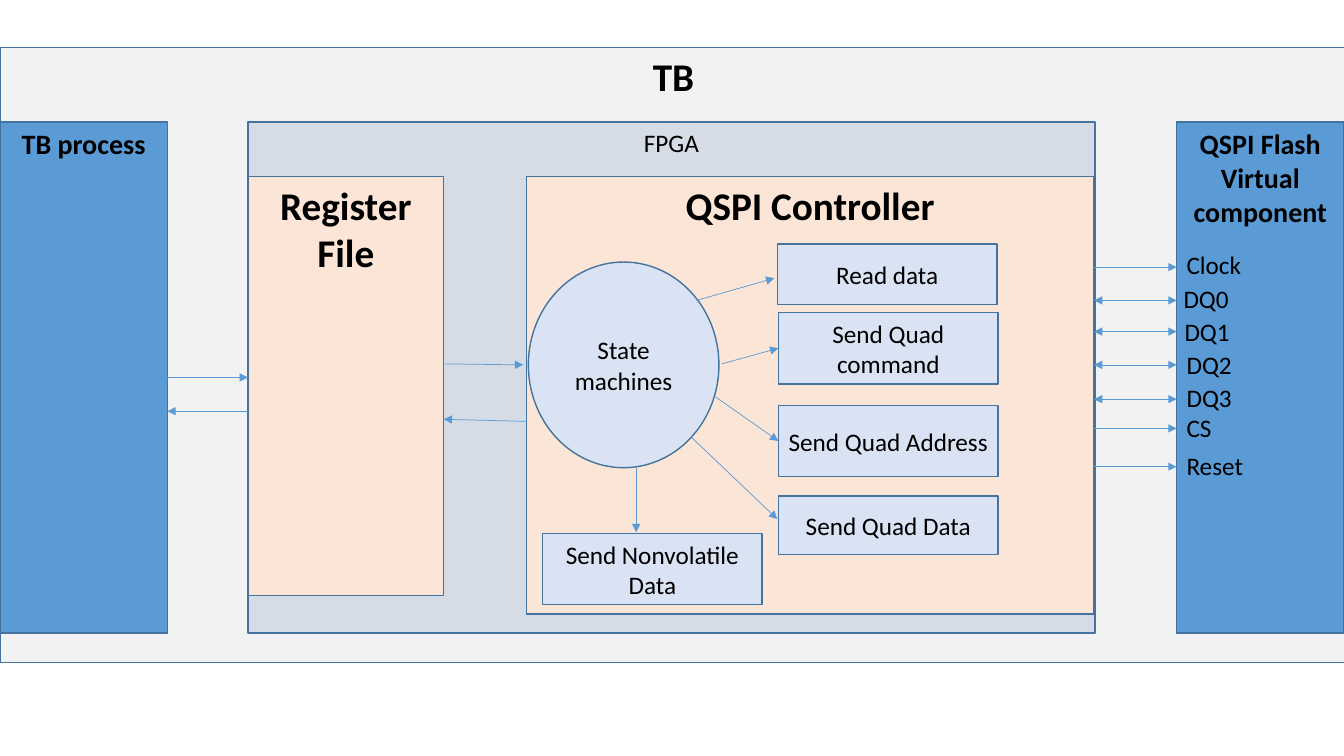
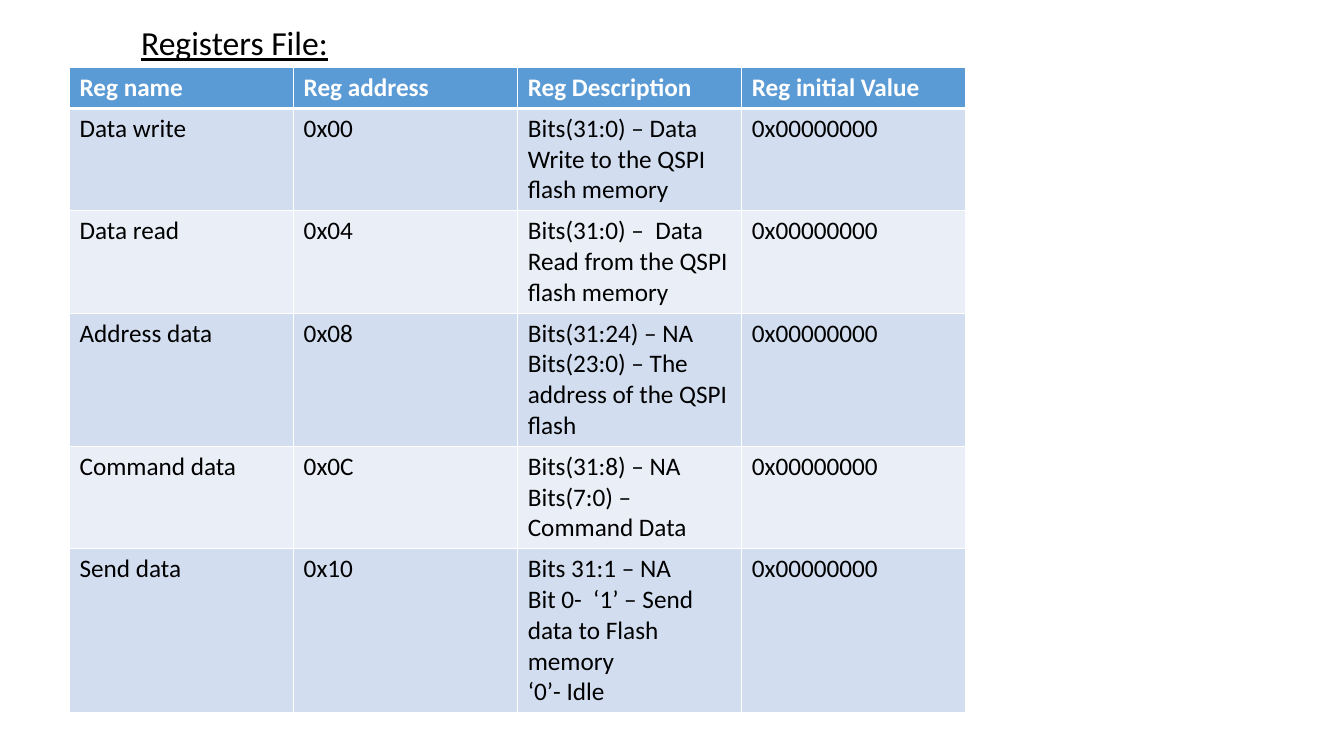
import pptx
import pptx.util
import pptx.oxml
import pptx.oxml.ns
import pptx.dml.color
import pptx.enum.shapes
import pptx.enum.text

Inches = pptx.util.Inches
Pt = pptx.util.Pt
SHAPE = pptx.enum.shapes.MSO_SHAPE
ANCHOR = pptx.enum.text.MSO_ANCHOR
ALIGN = pptx.enum.text.PP_ALIGN

COLORS = {
    "black": "000000", "white": "FFFFFF", "frame": "F2F2F2", "outline": "43739E",
    "blue": "5B9BD5", "fpga": "D6DCE5", "block": "FBE5D6", "state": "DAE3F3",
    "band_dark": "D2DEEF", "band_light": "EAEFF7",
}
BODY = {"size": Pt(18), "bold": False}
HEADER = {"size": Pt(18), "bold": True}
SIDE = {"size": Pt(20), "bold": True}
HEADING = {"size": Pt(28), "bold": True}
SLIDE_TITLE = {"size": Pt(24), "bold": False, "underline": True}

# name, label offset, arrow height, label height, two-way
SIGNALS = [
    ("Clock", 0, 1.44, 1.21, False),
    ("DQ0", -0.03, 1.77, 1.55, True),
    ("DQ1", -0.02, 2.08, 1.88, True),
    ("DQ2", 0, 2.41, 2.21, True),
    ("DQ3", 0, 2.75, 2.53, True),
    ("CS", 0, 3.04, 2.83, False),
    ("Reset", 0, 3.42, 3.21, False),
]

# name, address, description paragraphs, lines the description fills
RESET_VALUE = "0x00000000"
REGISTERS = [
    ("Data write", "0x00", ["Bits(31:0) – Data Write to the QSPI flash memory"], 3),
    ("Data read", "0x04", ["Bits(31:0) –  Data Read from the QSPI flash memory"], 3),
    ("Address data", "0x08", ["Bits(31:24) – NA",
                              "Bits(23:0) – The address of the QSPI flash"], 4),
    ("Command data", "0x0C", ["Bits(31:8) – NA", "Bits(7:0) – Command Data"], 3),
    ("Send data", "0x10", ["Bits 31:1 – NA", "Bit 0-  ‘1’ – Send data to Flash memory",
                           "‘0’- Idle"], 5),
]
TABLE_HEADS = ["Reg name", "Reg address", "Reg Description", "Reg initial Value"]


def rgb(name):
    return pptx.dml.color.RGBColor.from_string(COLORS[name])


def write(tf, lines, style, color="black", align=ALIGN.LEFT):
    tf.text = "\n".join(lines)
    for p in tf.paragraphs:
        p.alignment = align
        for r in p.runs:
            r.font.name = "Calibri"
            r.font.color.rgb = rgb(color)
            for key, value in style.items():
                setattr(r.font, key, value)


def paint(sp, fill):
    sp.fill.solid()
    sp.fill.fore_color.rgb = rgb(fill)
    sp.line.color.rgb = rgb("outline")
    sp.line.width = Pt(1)


def add_block(s, box, text, fill, style=BODY, anchor=ANCHOR.TOP, shape=SHAPE.RECTANGLE):
    sp = s.shapes.add_shape(shape, *map(Inches, box))
    sp.shadow.inherit = False
    paint(sp, fill)
    sp.text_frame.word_wrap = True
    sp.text_frame.vertical_anchor = anchor
    write(sp.text_frame, [text], style, align=ALIGN.CENTER)
    return sp


def add_arrow(s, start, end, both=False, begin=None, finish=None):
    """Draw an arrow; begin and finish are (shape, side) pairs to join."""
    cn = s.shapes.add_connector(pptx.enum.shapes.MSO_CONNECTOR.STRAIGHT,
                                *map(Inches, start + end))
    cn.line.color.rgb = rgb("blue")
    cn.line.width = Pt(0.5)
    ln = cn.line._get_or_add_ln()
    for tag in (["a:headEnd"] if both else []) + ["a:tailEnd"]:
        ln.append(pptx.oxml.parse_xml(
            f'<{tag} {pptx.oxml.ns.nsdecls("a")} type="triangle"/>'))
    cn._element.spPr.append(pptx.oxml.parse_xml(
        f'<a:effectLst {pptx.oxml.ns.nsdecls("a")}/>'))
    if begin:
        cn.begin_connect(*begin)
    if finish:
        cn.end_connect(*finish)


def place_title(s, box, text, style, align, wrap):
    title = s.shapes.title
    title.left, title.top, title.width, title.height = map(Inches, box)
    tf = title.text_frame
    tf.auto_size = pptx.enum.text.MSO_AUTO_SIZE.NONE
    tf.word_wrap = wrap
    tf.vertical_anchor = ANCHOR.TOP
    write(tf, [text], style, align=align)
    return title


def controller(s, box):
    """Place the QSPI controller with its state machines and actions."""
    x, y, _, _ = box
    add_block(s, box, "QSPI Controller", "block", HEADING)

    def action(dx, dy, h, text):
        return add_block(s, (x + dx, y + dy, 2.18, h), text, "state", anchor=ANCHOR.MIDDLE)

    action(2.49, 0.67, 0.6, "Read data")
    command = action(2.5, 1.35, 0.71, "Send Quad command")
    address = action(2.5, 2.27, 0.71, "Send Quad Address")
    action(2.5, 3.17, 0.58, "Send Quad Data")
    action(0.16, 3.54, 0.71, "Send Nonvolatile Data")
    add_block(s, (x + 0.02, y + 0.85, 1.89, 2.04), "State machines", "state",
              anchor=ANCHOR.MIDDLE, shape=SHAPE.OVAL)
    for x1, y1, x2, y2, target in [
        (1.69, 1.23, 2.46, 1.01, None),
        (1.94, 1.86, 2.5, 1.7, command),
        (1.88, 2.19, 2.5, 2.62, address),
        (1.64, 2.59, 2.49, 3.4, None),
        (1.09, 2.89, 1.09, 3.53, None),
    ]:
        add_arrow(s, (x + x1, y + y1), (x + x2, y + y2), finish=target and (target, 1))


def fpga(s, box):
    x, y, w, _ = box
    sp = add_block(s, box, "FPGA", "fpga")
    add_block(s, (x, y + 0.54, 1.94, 4.16), "Register File", "block", HEADING)
    controller(s, (x + 2.76, y + 0.54, w - 2.77, 4.34))
    add_arrow(s, (x + 1.94, y + 2.4), (x + 2.73, y + 2.41))
    add_arrow(s, (x + 2.76, y + 2.97), (x + 1.94, y + 2.95))
    return sp


def flash(s, box, bus_left):
    """Place the flash component, its pin labels and the bus arrows."""
    x, y, _, _ = box
    add_block(s, box, "QSPI Flash Virtual component", "blue", SIDE)
    for name, dx, arrow_y, label_y, both in SIGNALS:
        add_arrow(s, (bus_left, y + arrow_y), (x, y + arrow_y), both)
        tb = s.shapes.add_textbox(*map(Inches, (x + dx, y + label_y, 0.77, 0.4)))
        tb.text_frame.word_wrap = False
        write(tb.text_frame, [name], BODY)


def test_bench_slide(prs):
    s = prs.slides.add_slide(prs.slide_layouts[5])
    frame = place_title(s, (0, 0.47, 13.36, 6.1), "TB", HEADING, ALIGN.CENTER, True)
    paint(frame, "frame")
    top, height = 1.21, 5.07
    process = add_block(s, (0, top, 1.66, height), "TB process", "blue", SIDE)
    chip = fpga(s, (2.46, top, 8.4, height))
    flash(s, (11.67, top, 1.66, height), 10.85)
    add_arrow(s, (1.66, 3.74), (2.46, 3.74), begin=(process, 3), finish=(chip, 1))
    add_arrow(s, (2.46, 4.08), (1.66, 4.08))


def format_cell(cell, lines, fill, style, color, widths):
    """Fill a cell; widths maps each border side to points."""
    cell.fill.solid()
    cell.fill.fore_color.rgb = rgb(fill)
    write(cell.text_frame, lines, style, color)
    tcPr = cell._tc.get_or_add_tcPr()
    for i, (side, width) in enumerate(widths.items()):
        tcPr.insert(i, pptx.oxml.parse_xml(
            f'<a:ln{side} {pptx.oxml.ns.nsdecls("a")} w="{Pt(width)}"><a:solidFill>'
            f'<a:srgbClr val="{COLORS["white"]}"/></a:solidFill></a:ln{side}>'))


def register_table(s, box):
    rows = [[[head] for head in TABLE_HEADS]]
    rows += [[[name], [address], about, [RESET_VALUE]]
             for name, address, about, _ in REGISTERS]
    line_counts = [1] + [reg[3] for reg in REGISTERS]
    table = s.shapes.add_table(len(rows), len(TABLE_HEADS), *map(Inches, box)).table
    for col in table.columns:
        col.width = Inches(box[2] / len(TABLE_HEADS))
    for i, row in enumerate(rows):
        table.rows[i].height = Inches(0.1 + 0.3 * line_counts[i])
        fill = "blue" if i == 0 else "band_dark" if i % 2 else "band_light"
        style, color = (HEADER, "white") if i == 0 else (BODY, "black")
        widths = {"L": 1, "R": 1, "T": 3 if i == 1 else 1, "B": 3 if i == 0 else 1}
        for j, lines in enumerate(row):
            format_cell(table.cell(i, j), lines, fill, style, color, widths)


def registers_slide(prs):
    s = prs.slides.add_slide(prs.slide_layouts[5])
    place_title(s, (1.3, 0.17, 2.07, 0.5), "Registers File:", SLIDE_TITLE, ALIGN.LEFT, False)
    register_table(s, (0.69, 0.67, 8.89, 6.31))


def main():
    prs = pptx.Presentation()
    prs.slide_width, prs.slide_height = Inches(13.33), Inches(7.5)
    test_bench_slide(prs)
    registers_slide(prs)
    prs.save("out.pptx")


if __name__ == "__main__":
    main()
